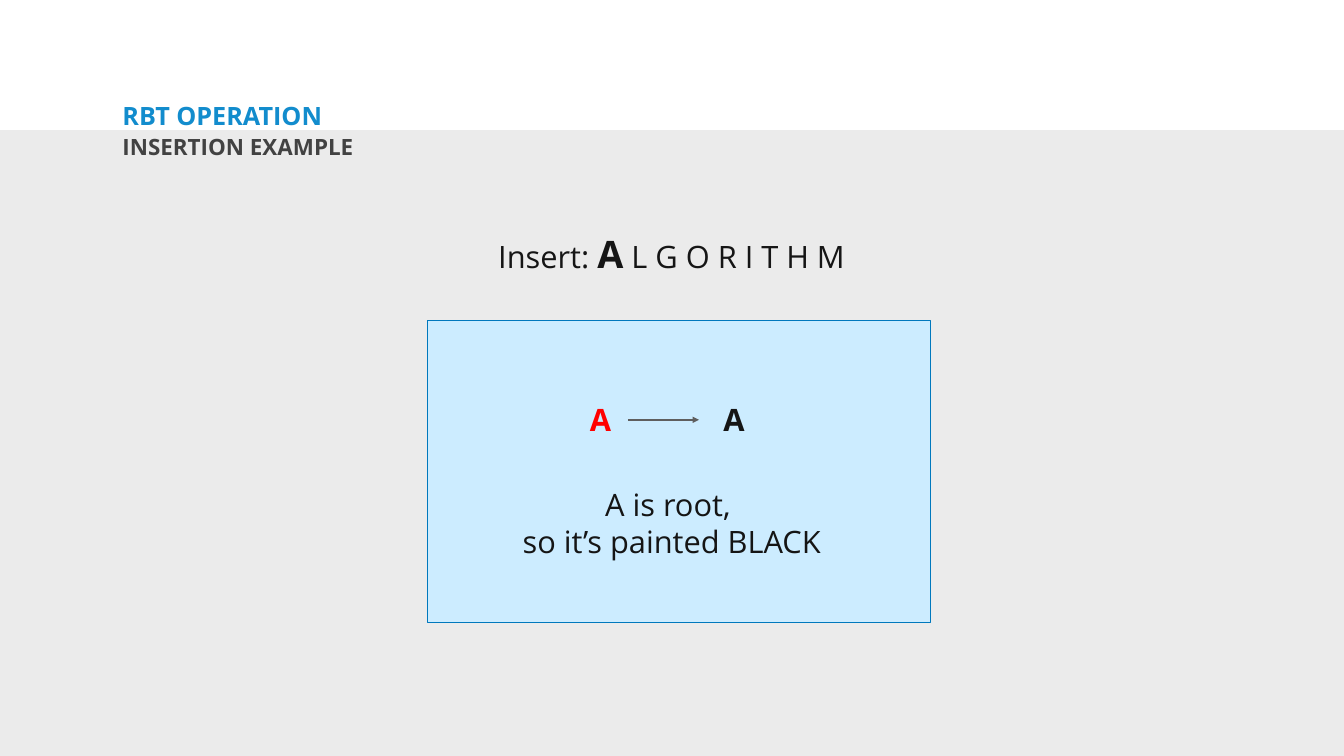
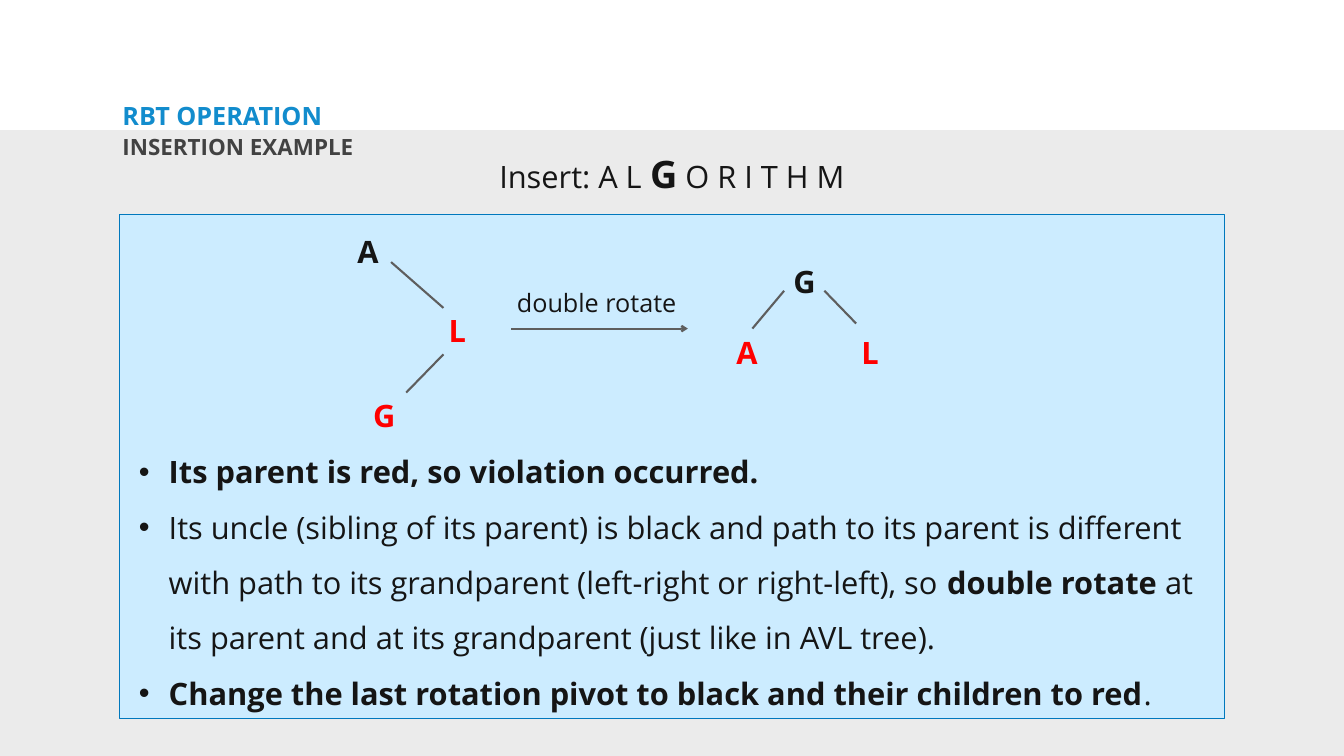
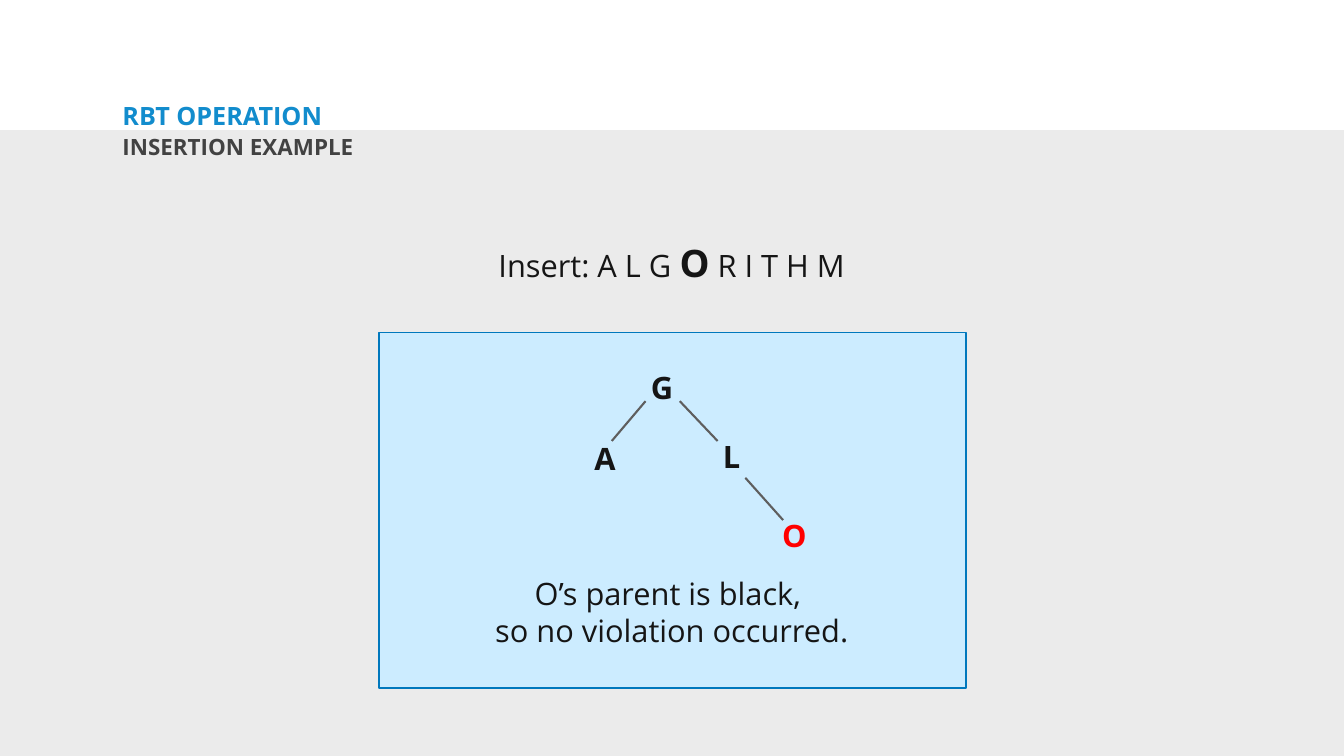
import pptx
import pptx.dml.color
import pptx.enum.shapes
import pptx.enum.text
import pptx.oxml
import pptx.oxml.ns
import pptx.util

PX = 9144
FONT = "Open Sans"
INK = "151515"
RED = "FF0000"
BLUE = "128CCD"
GREY = "424242"
EDGE = "5E5E5E"
BAND = "EBEBEB"
PANEL = "CCECFF"
PANEL_LINE = "0078BD"
WORD = "ALGORITHM"
NODE_WIDTHS = {"A": 65, "L": 55, "G": 65, "O": 69}
NODE_HEIGHT = 84
ALIGN = pptx.enum.text.PP_ALIGN
RECTANGLE = pptx.enum.shapes.MSO_SHAPE.RECTANGLE


def px(*lengths):
    return [pptx.util.Emu(length * PX) for length in lengths]


def rgb(color):
    return pptx.dml.color.RGBColor.from_string(color)


def add_xml(parent, tag, **attributes):
    child = pptx.oxml.parse_xml(f'<a:{tag} {pptx.oxml.ns.nsdecls("a")}/>')
    for name, value in attributes.items():
        child.set(name, str(value))
    parent.append(child)


def add_span(para, text, size=44, color=INK, bold=False):
    span = para.add_run()
    span.text = text
    span.font.name = FONT
    span.font.size = pptx.util.Pt(size)
    span.font.color.rgb = rgb(color)
    span.font.bold = bold


def add_rect(shapes, bounds, fill, line=None):
    rect = shapes.add_shape(RECTANGLE, *px(*bounds))
    rect.shadow.inherit = False
    rect.fill.solid()
    rect.fill.fore_color.rgb = rgb(fill)
    if line:
        rect.line.color.rgb = rgb(line)
        rect.line.width = pptx.util.Pt(2)
    else:
        rect.line.fill.background()
    return rect


def add_panel(shapes, *bounds):
    add_rect(shapes, bounds, PANEL, PANEL_LINE)


def add_box(shapes, bounds, wrap=True):
    box = shapes.add_textbox(*px(*bounds))
    box.text_frame.word_wrap = wrap
    box.text_frame.auto_size = pptx.enum.text.MSO_AUTO_SIZE.SHAPE_TO_FIT_TEXT
    return box.text_frame


def add_paras(frame, count):
    return [frame.paragraphs[0]] + [frame.add_paragraph() for _ in range(count - 1)]


def add_caption(shapes, bounds, lines, **style):
    frame = add_box(shapes, bounds)
    for para, line in zip(add_paras(frame, len(lines)), lines):
        para.alignment = ALIGN.CENTER
        add_span(para, line, **style)


def add_list(shapes, bounds, items):
    frame = add_box(shapes, bounds)
    for para, spans in zip(add_paras(frame, len(items)), items):
        properties = para._p.get_or_add_pPr()
        properties.set("marL", str(59 * PX))
        properties.set("indent", str(-59 * PX))
        add_xml(properties, "buFont", typeface="Arial")
        add_xml(properties, "buChar", char="•")
        para.line_spacing = 1.5
        for text, bold in spans:
            add_span(para, text, bold=bold)


def add_word(shapes, bounds, step):
    para = add_box(shapes, bounds, wrap=False).paragraphs[0]
    para.alignment = ALIGN.CENTER
    add_span(para, "Insert: " + "".join(f"{letter} " for letter in WORD[:step]))
    add_span(para, WORD[step], size=54, bold=True)
    add_span(para, "".join(f" {letter}" for letter in WORD[step + 1:]))


def add_node(shapes, letter, left, top, color=INK):
    bounds = (left, top, NODE_WIDTHS[letter], NODE_HEIGHT)
    para = add_box(shapes, bounds, wrap=False).paragraphs[0]
    para.alignment = ALIGN.CENTER
    add_span(para, letter, color=color, bold=True)


def add_edge(shapes, *ends, head=None):
    straight = pptx.enum.shapes.MSO_CONNECTOR.STRAIGHT
    edge = shapes.add_connector(straight, *px(*ends))
    edge.line.color.rgb = rgb(EDGE)
    edge.line.width = pptx.util.Pt(3)
    if head:
        add_xml(edge.get_or_add_ln(), "tailEnd", type=head)
    add_xml(edge.element.spPr, "effectLst")


def add_tree(shapes, nodes, edges):
    tree = shapes.add_group_shape().shapes
    for node in nodes:
        add_node(tree, *node)
    for edge in edges:
        add_edge(tree, *edge)


def fill_heading(holder, bounds, text, spacing, **style):
    holder.left, holder.top, holder.width, holder.height = px(*bounds)
    frame = holder.text_frame
    frame.auto_size = pptx.enum.text.MSO_AUTO_SIZE.NONE
    frame.vertical_anchor = pptx.enum.text.MSO_ANCHOR.TOP
    frame.margin_left, frame.margin_top, frame.margin_right, frame.margin_bottom = px(6, 6, 6, 6)
    para = frame.paragraphs[0]
    properties = para._p.get_or_add_pPr()
    properties.set("marL", "0")
    properties.set("indent", "0")
    add_xml(properties, "buNone")
    para.alignment = ALIGN.LEFT
    para.line_spacing = spacing
    para.space_before = pptx.util.Pt(0)
    add_span(para, text, bold=True, **style)


def add_page(deck):
    page = deck.slides.add_slide(deck.slide_layouts[1])
    title, body = page.placeholders
    fill_heading(title, (237, 205, 1609, 56), "RBT OPERATION", 0.8, size=36, color=BLUE)
    fill_heading(body, (237, 265, 1068, 88), "INSERTION EXAMPLE", 0.9, size=32, color=GREY)
    return page.shapes


def move_band_to_layout(deck, shapes):
    band = add_rect(shapes, (0, 258, 2667, 1251), BAND)
    deck.slide_layouts[1].shapes.element.insert(2, band.element)


def build_root_page(deck):
    shapes = add_page(deck)
    move_band_to_layout(deck, shapes)
    step = shapes.add_group_shape().shapes
    add_panel(step, 848, 636, 999, 599)
    add_node(step, "A", 1159, 791, RED)
    add_node(step, "A", 1424, 791)
    add_edge(step, 1246, 833, 1387, 833, head="triangle")
    add_caption(step, (952, 959, 763, 158), ["A is root, ", "so it’s painted BLACK"])
    add_word(shapes, (976, 452, 714, 101), 0)


def build_rotation_page(deck):
    shapes = add_page(deck)
    add_panel(shapes, 237, 426, 2193, 1000)
    add_word(shapes, (978, 295, 711, 101), 2)
    add_list(shapes, (266, 857, 2135, 554), [
        [("Its parent is red, so violation occurred.", True)],
        [("Its uncle (sibling of its parent) is black and path to its parent is "
          "different with path to its grandparent (left-right or right-left), so ", False),
         ("double rotate", True),
         (" at its parent and at its grandparent (just like in AVL tree).", False)],
        [("Change the last rotation pivot to black and their children to red", True),
         (".", False)],
    ])
    add_tree(
        shapes,
        [("A", 698, 457), ("L", 880, 614, RED), ("G", 730, 783, RED)],
        [(776, 520, 880, 611), (880, 703, 806, 779)],
    )
    add_tree(
        shapes,
        [("A", 1450, 657, RED), ("L", 1699, 657, RED), ("G", 1564, 517)],
        [(1556, 577, 1493, 652), (1636, 577, 1699, 642)],
    )
    add_caption(shapes, (995, 565, 378, 71), ["double rotate"], size=36)
    add_edge(shapes, 1015, 652, 1365, 652, head="arrow")


def build_black_parent_page(deck):
    shapes = add_page(deck)
    add_panel(shapes, 752, 660, 1165, 705)
    add_word(shapes, (972, 470, 722, 101), 3)
    add_caption(shapes, (266, 1136, 2135, 158),
                ["O’s parent is black, ", "so no violation occurred."])
    add_tree(
        shapes,
        [("A", 1168, 867), ("L", 1424, 863), ("G", 1281, 726), ("O", 1542, 1020, RED)],
        [(1281, 796, 1214, 875), (1349, 796, 1424, 875), (1554, 1032, 1479, 948)],
    )


def main():
    deck = pptx.Presentation()
    deck.slide_width, deck.slide_height = px(2667, 1500)
    build_root_page(deck)
    build_rotation_page(deck)
    build_black_parent_page(deck)
    deck.save("out.pptx")


if __name__ == "__main__":
    main()
